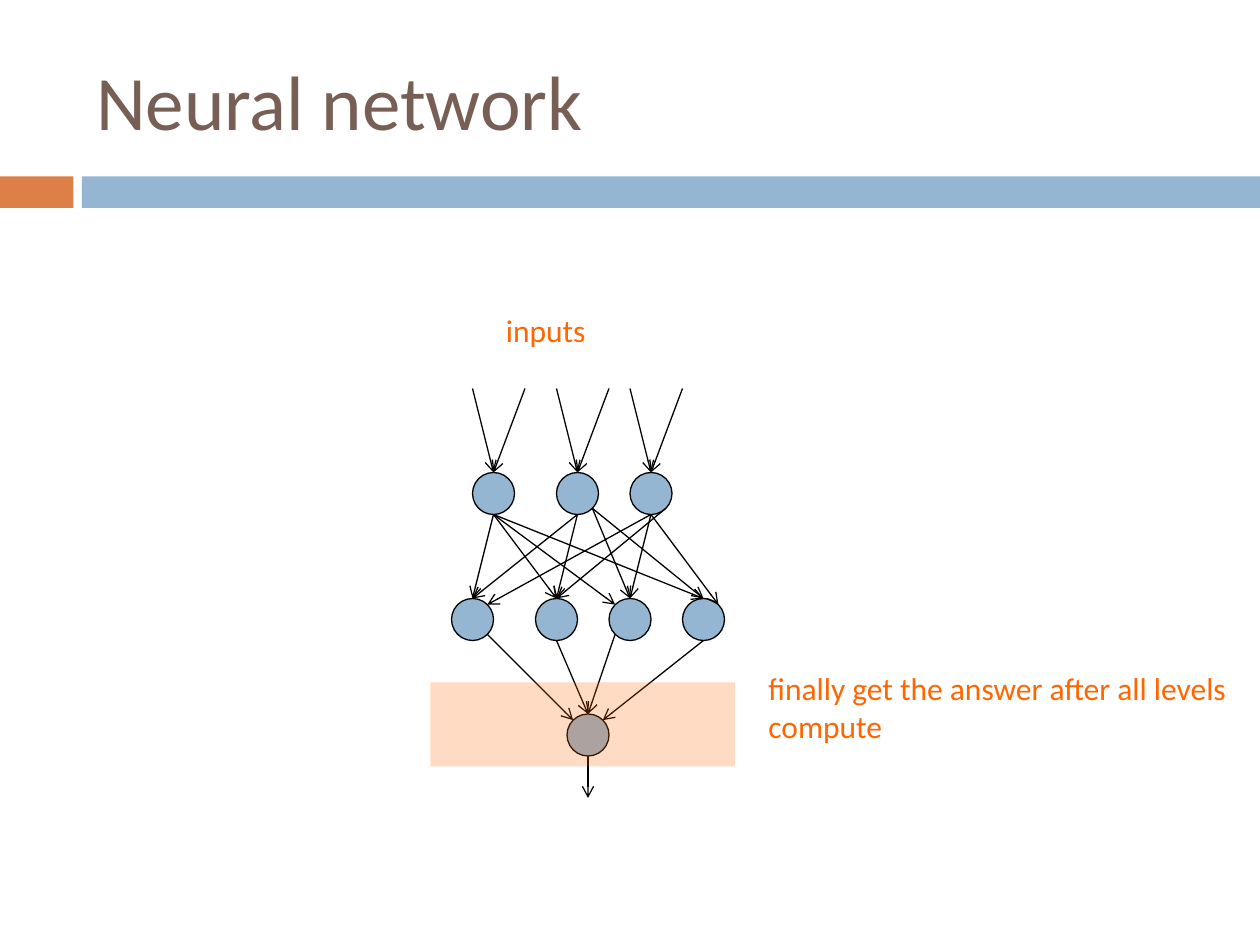
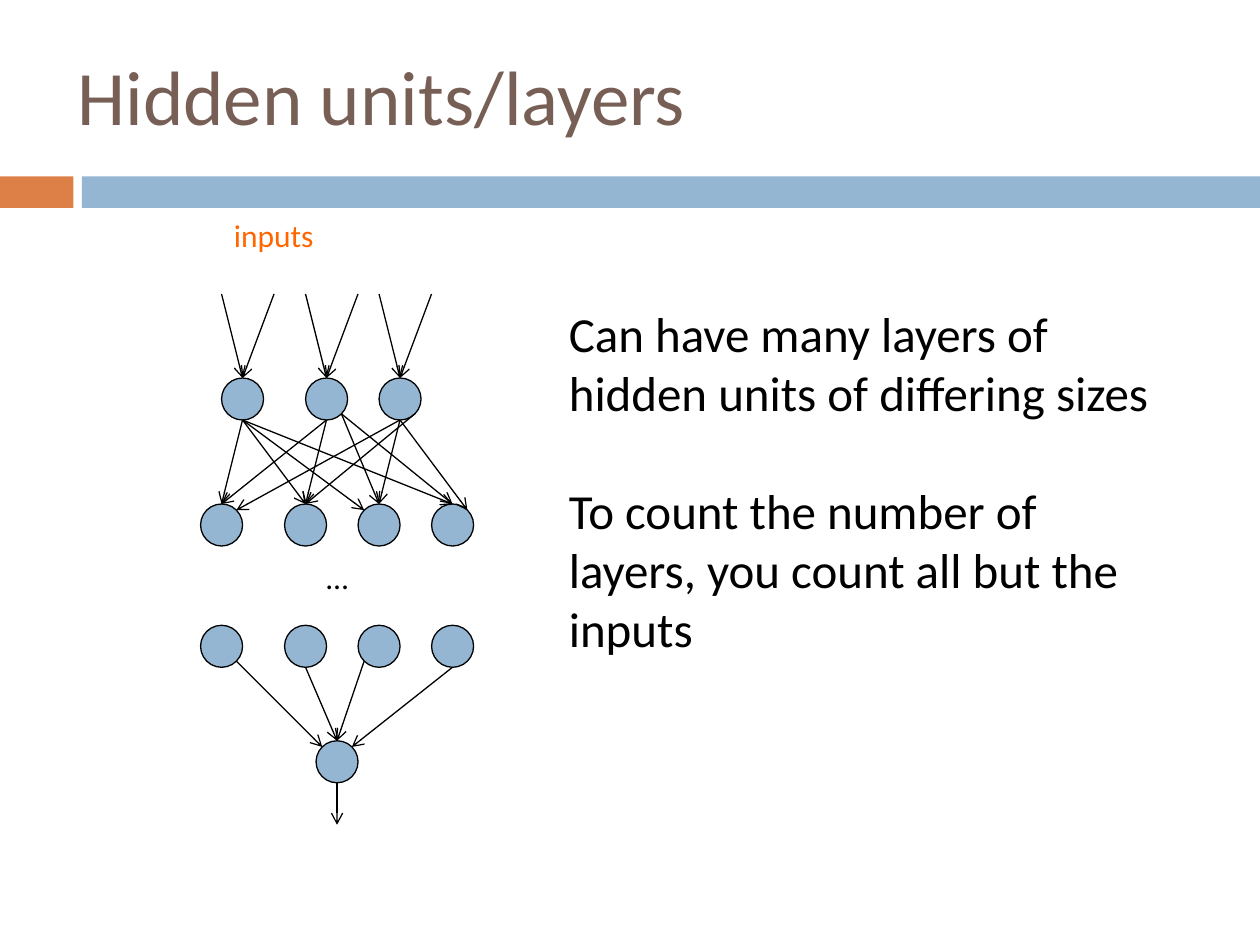
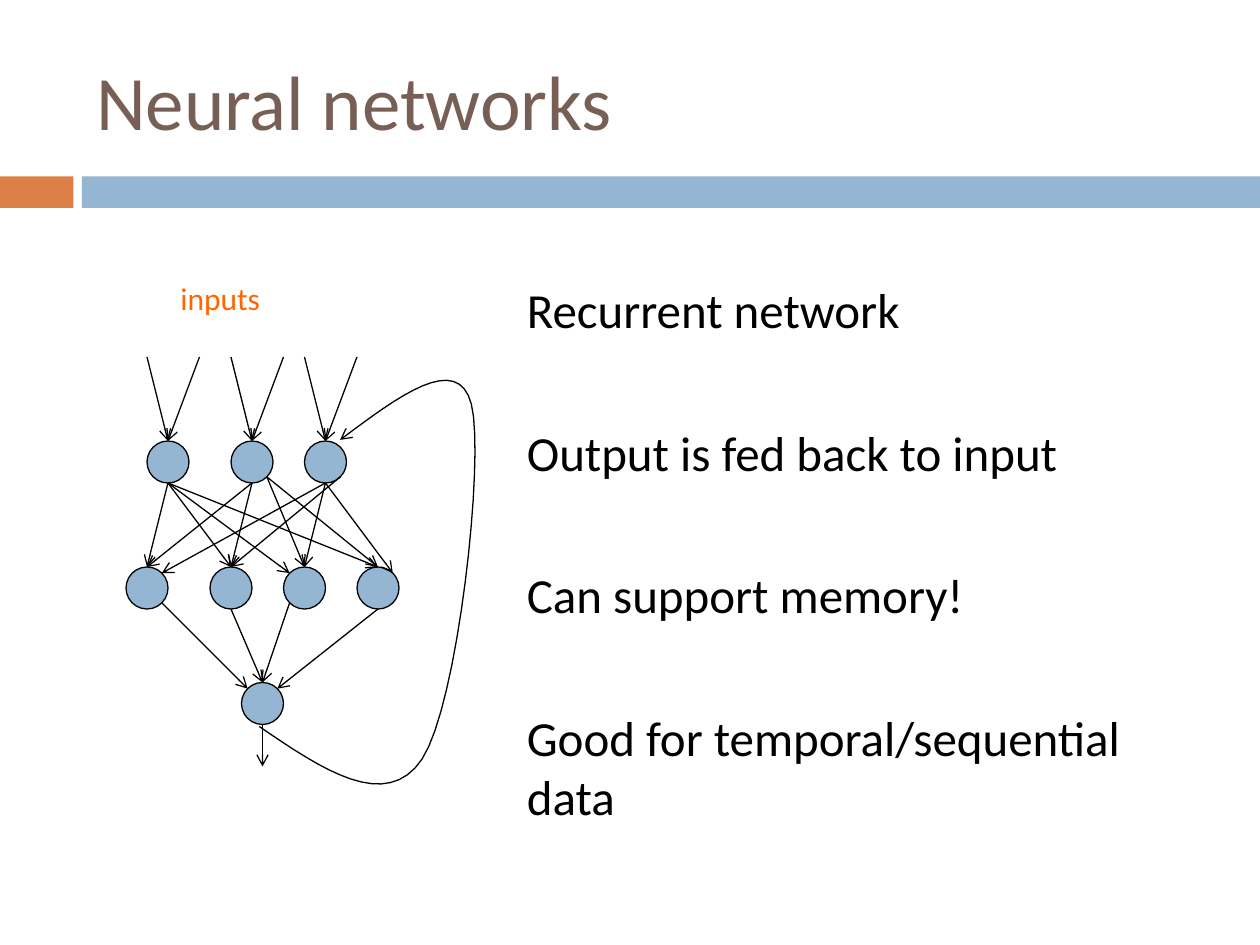
from dataclasses import dataclass
from math import sqrt

from pptx import Presentation
from pptx.dml.color import RGBColor
from pptx.enum.shapes import MSO_CONNECTOR as Connector, MSO_SHAPE as Shape
from pptx.enum.text import MSO_ANCHOR as Anchor
from pptx.oxml.ns import qn
from pptx.util import Inches, Pt
from lxml.etree import SubElement


@dataclass(frozen=True)
class Theme:
    font: str = "Calibri"
    title: str = "775F55"
    accent: str = "DD8047"
    blue: str = "94B6D2"
    orange: str = "FF6600"
    black: str = "000000"
    title_size: int = 44
    body_size: int = 28
    label_size: int = 18
    line_width: float = 0.75


THEME = Theme()
UNITS_PER_INCH = 12
NODE = 4
LEVEL = 12
OUTPUT_LEVEL = 11
INPUT_COLUMNS = (2, 10, 17)
HIDDEN_COLUMNS = (0, 8, 15, 22)
OUTPUT_COLUMN = 11
DIAGONAL = sqrt(0.5)
RIM = {
    "top": (0, -1),
    "bottom": (0, 1),
    "upper left": (-DIAGONAL, -DIAGONAL),
    "upper right": (DIAGONAL, -DIAGONAL),
    "lower left": (-DIAGONAL, DIAGONAL),
    "lower right": (DIAGONAL, DIAGONAL),
}
INPUT_LINKS = (
    (0, "bottom", 0, "top"),
    (0, "bottom", 1, "top"),
    (0, "bottom", 2, "upper left"),
    (0, "bottom", 3, "top"),
    (1, "bottom", 0, "top"),
    (1, "bottom", 1, "top"),
    (1, "lower right", 2, "top"),
    (1, "lower right", 3, "top"),
    (2, "bottom", 0, "upper right"),
    (2, "lower right", 1, "top"),
    (2, "bottom", 2, "top"),
    (2, "bottom", 3, "upper right"),
)
OUTPUT_LINKS = (
    (0, "lower right", 0, "upper left"),
    (1, "bottom", 0, "top"),
    (2, "lower left", 0, "top"),
    (3, "bottom", 0, "upper right"),
)


def grid(*lengths):
    return [Inches(length / UNITS_PER_INCH) for length in lengths]


def color(code):
    return RGBColor.from_string(code)


def add_shape(page, kind, area, fill, outlined=False, opacity=None):
    shape = page.shapes.add_shape(kind, *grid(*area))
    shape.shadow.inherit = False
    shape.fill.solid()
    shape.fill.fore_color.rgb = color(fill)
    if opacity is not None:
        tint = shape.fill._xPr.find(qn("a:solidFill"))[0]
        SubElement(tint, qn("a:alpha")).set("val", str(opacity * 1000))
    if outlined:
        style_line(shape.line)
    else:
        shape.line.fill.background()
    return shape


def style_line(line, arrow=False):
    line.color.rgb = color(THEME.black)
    line.width = Pt(THEME.line_width)
    if arrow:
        SubElement(line._get_or_add_ln(), qn("a:tailEnd")).set("type", "arrow")


def add_text(page, area, texts, size, ink, gap=0, anchor=Anchor.TOP, wrap=True):
    box = page.shapes.add_textbox(*grid(*area))
    frame = box.text_frame
    frame.word_wrap = wrap
    frame.vertical_anchor = anchor
    for index, text in enumerate(texts):
        para = frame.add_paragraph() if index else frame.paragraphs[0]
        if index:
            para.space_before = Pt(gap)
        span = para.add_run()
        span.text = text
        span.font.name = THEME.font
        span.font.size = Pt(size)
        span.font.color.rgb = color(ink)


def add_body(page, area, texts, gap):
    add_text(page, area, texts, THEME.body_size, THEME.black, gap)


def add_label(page, area, text, ink=THEME.orange, wrap=True):
    add_text(page, area, [text], THEME.label_size, ink, wrap=wrap)


def add_page(deck, title, title_area=(8, 3, 107, 13)):
    page = deck.slides.add_slide(deck.slide_layouts[6])
    add_shape(page, Shape.RECTANGLE, (0, 16.8, 7, 3), THEME.accent)
    add_shape(page, Shape.RECTANGLE, (7.8, 16.8, 112.2, 3), THEME.blue)
    add_text(page, title_area, [title], THEME.title_size, THEME.title, anchor=Anchor.MIDDLE)
    return page


def add_arrow(page, start, end):
    arrow = page.shapes.add_connector(Connector.STRAIGHT, *grid(*start, *end))
    style_line(arrow.line, arrow=True)
    SubElement(arrow._element.spPr, qn("a:effectLst"))
    return arrow


def rim_point(node, side):
    across, down = RIM[side]
    radius = NODE / 2
    unit = Inches(1 / UNITS_PER_INCH)
    return (node.left / unit + radius * (1 + across),
            node.top / unit + radius * (1 + down))


def add_row(page, left, top, columns):
    return [add_shape(page, Shape.OVAL, (left + column, top, NODE, NODE), THEME.blue, outlined=True)
            for column in columns]


def link_rows(page, sources, targets, links):
    for source, start_side, target, end_side in links:
        arrow = add_arrow(page, rim_point(sources[source], start_side),
                          rim_point(targets[target], end_side))
        if end_side == "top":
            arrow.end_connect(targets[target], 0)


def add_network(page, left, top, label_column=4, hidden_gap=0):
    input_top = top + 8
    hidden_top = input_top + LEVEL
    last_top = hidden_top + hidden_gap
    inputs = add_row(page, left, input_top, INPUT_COLUMNS)
    hidden = add_row(page, left, hidden_top, HIDDEN_COLUMNS)
    last = add_row(page, left, last_top, HIDDEN_COLUMNS) if hidden_gap else hidden
    output = add_row(page, left, last_top + OUTPUT_LEVEL, [OUTPUT_COLUMN])
    for node, column in zip(inputs, INPUT_COLUMNS):
        for shift in (0, 5):
            arrow = add_arrow(page, (left + column + shift, top), rim_point(node, "top"))
            arrow.end_connect(node, 0)
    link_rows(page, inputs, hidden, INPUT_LINKS)
    link_rows(page, last, output, OUTPUT_LINKS)
    across, down = rim_point(output[0], "bottom")
    add_arrow(page, (across, down), (across, down + 4))
    add_label(page, (left + label_column, top - 8, 22, 6), "inputs")


def bezier(points, share):
    while len(points) > 1:
        points = [tuple(a + (b - a) * share for a, b in zip(first, second))
                  for first, second in zip(points, points[1:])]
    return points[0]


def add_curve(page, points, steps=16):
    outline = [bezier(points[start:start + 4], step / steps)
               for start in range(0, len(points) - 1, 3)
               for step in range(1, steps + 1)]
    builder = page.shapes.build_freeform(*grid(*points[0]))
    builder.add_line_segments([grid(*point) for point in outline], close=False)
    curve = builder.convert_to_shape()
    curve.shadow.inherit = False
    curve.fill.background()
    style_line(curve.line, arrow=True)


def add_answer_page(deck):
    page = add_page(deck, "Neural network")
    add_network(page, 43, 37)
    add_shape(page, Shape.RECTANGLE, (41, 65, 29, 8), THEME.orange, opacity=23)
    add_label(page, (72, 63.1, 46, 10.9), "finally get the answer after all levels compute")


def add_layers_page(deck):
    page = add_page(deck, "Hidden units/layers", (6.2, 0, 108, 18))
    add_network(page, 19.1, 28, label_column=2, hidden_gap=11.55)
    add_body(page, (53, 28.3, 59, 29.5), [
        "Can have many layers of hidden units of differing sizes",
        "To count the number of layers, you count all but the inputs",
    ], gap=34)
    add_label(page, (29.9, 52.6, 5.4, 4.8), "…", THEME.black, wrap=False)


def add_recurrent_page(deck):
    page = add_page(deck, "Neural networks")
    add_body(page, (49, 26, 65, 51), [
        "Recurrent network",
        "Output is fed back to input",
        "Can support memory!",
        "Good for temporal/sequential data",
    ], gap=48)
    add_network(page, 12, 34)
    add_curve(page, [
        (24.7, 69.2), (30.7, 73.3), (36.8, 77.4), (40.2, 72.3), (43.6, 67.2),
        (46.2, 43.7), (44.9, 38.5), (43.6, 33.5), (38, 37.7), (32.4, 41.9),
    ])


def main():
    deck = Presentation()
    deck.slide_width, deck.slide_height = Inches(10), Inches(7.5)
    add_answer_page(deck)
    add_layers_page(deck)
    add_recurrent_page(deck)
    deck.save("out.pptx")


if __name__ == "__main__":
    main()
